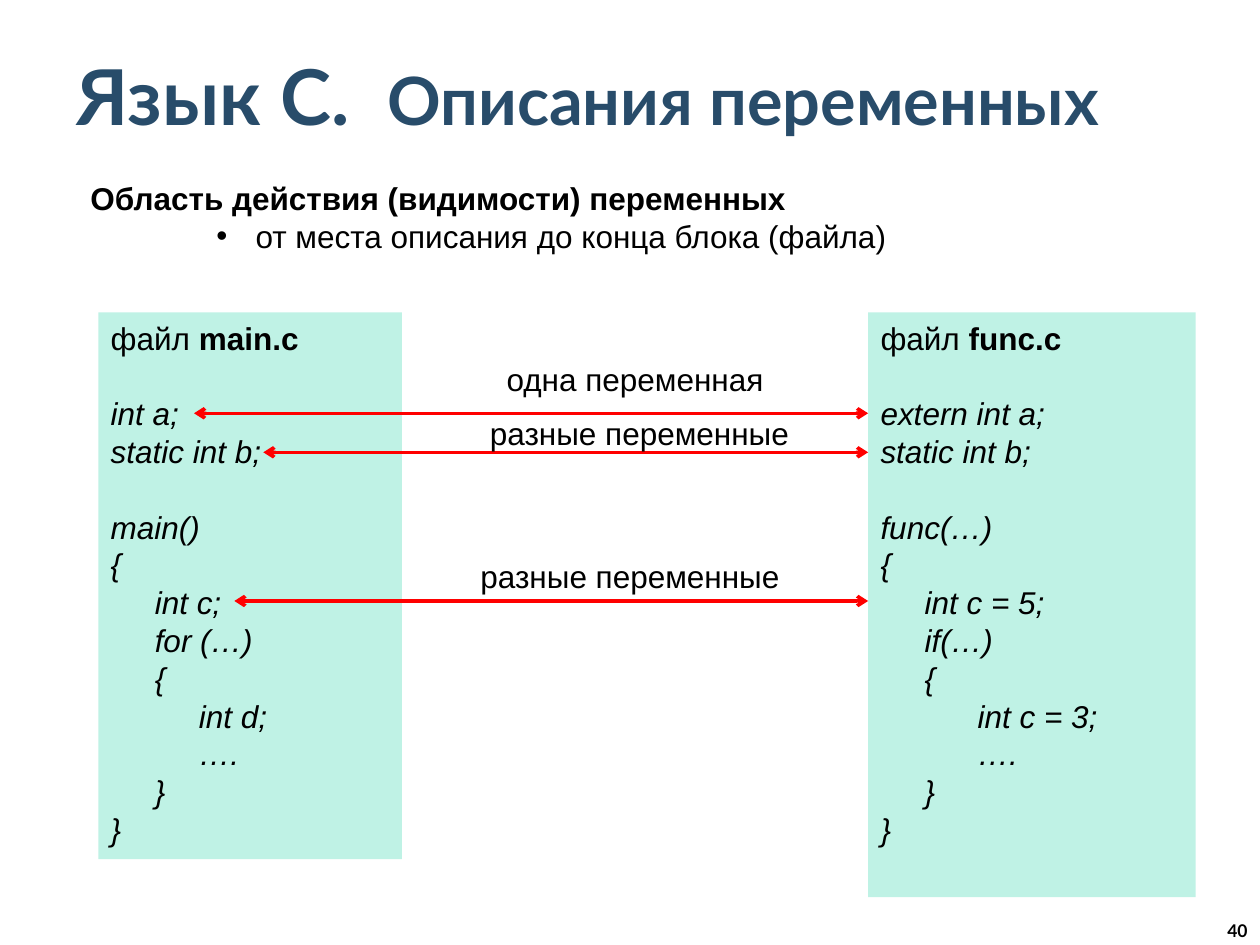
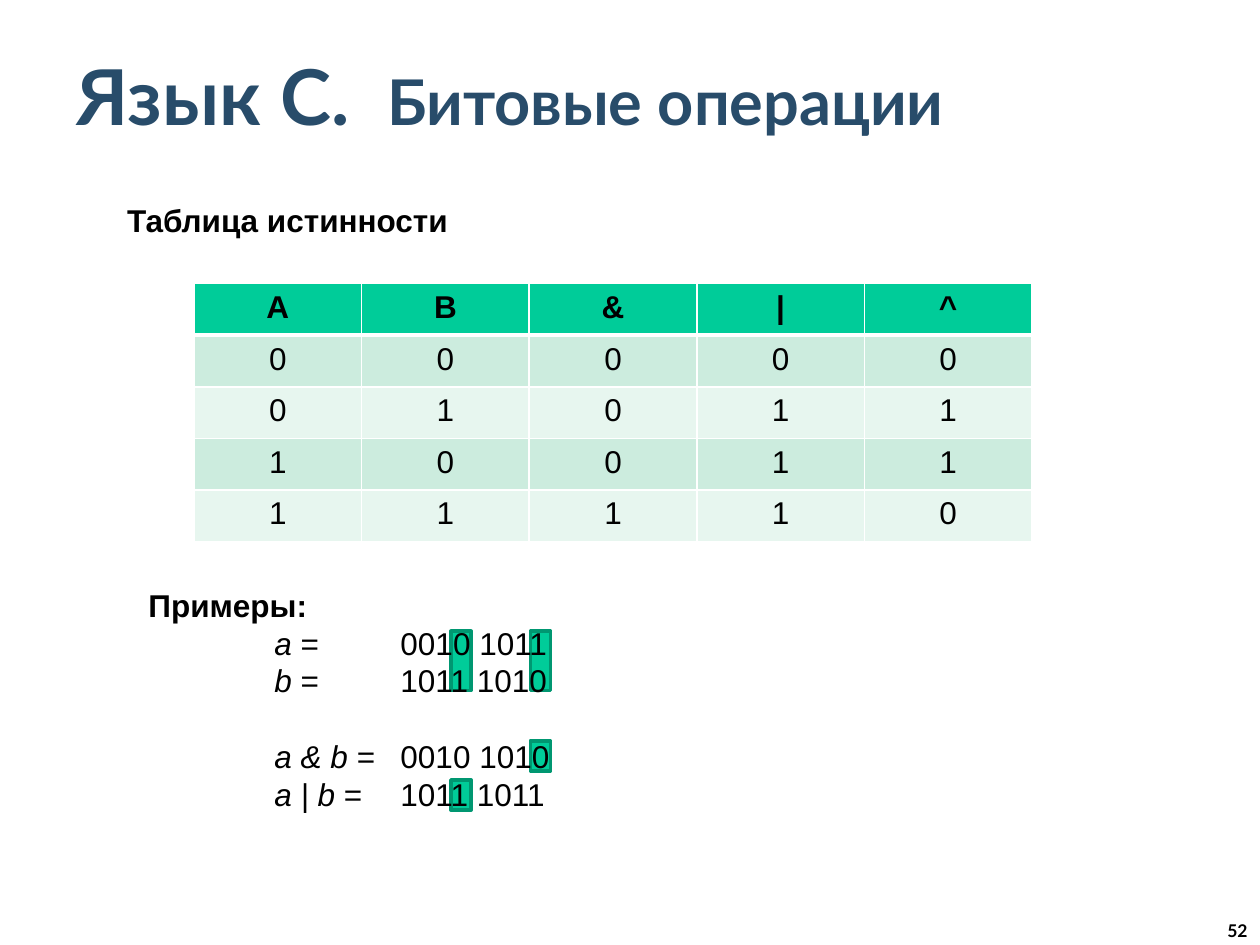
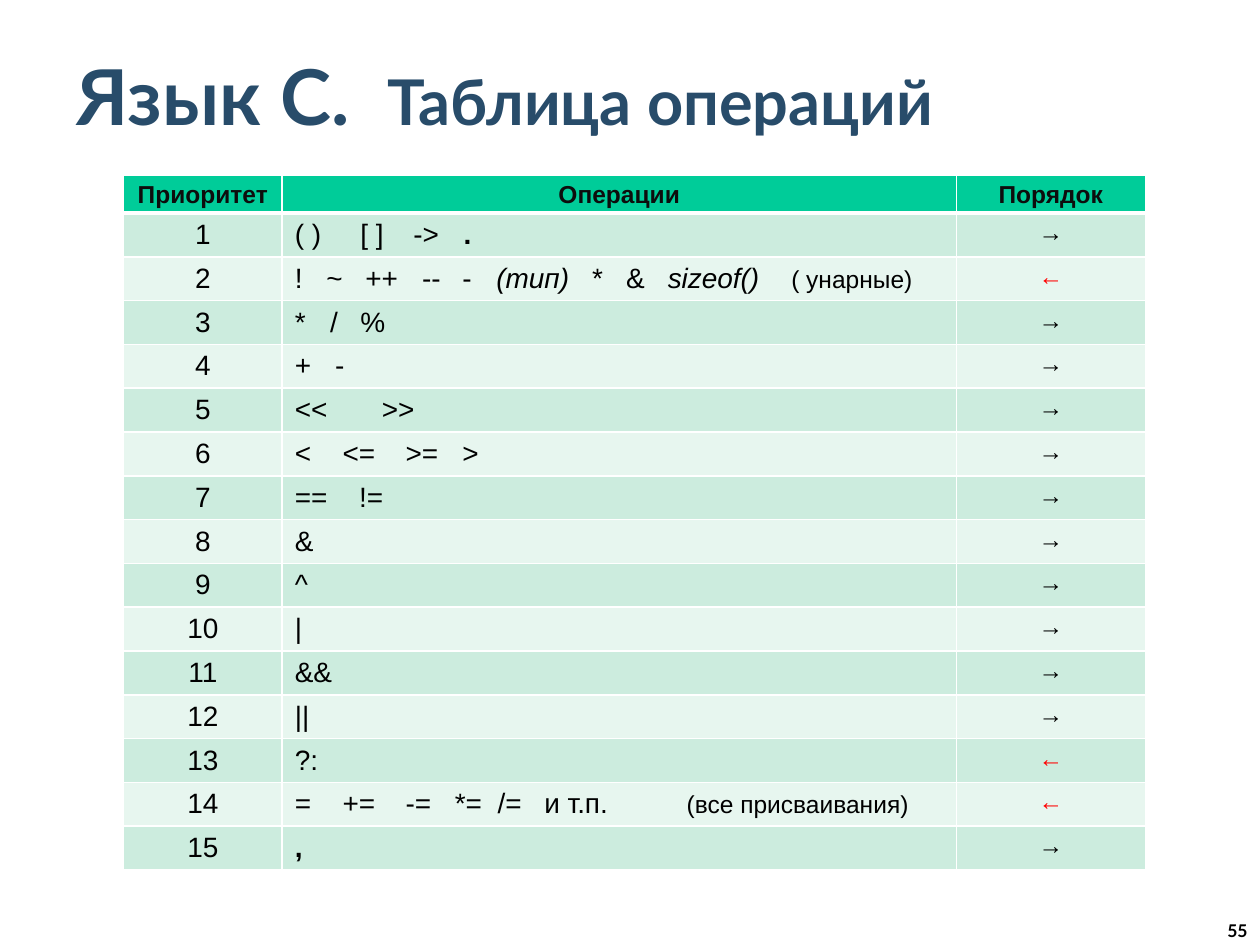
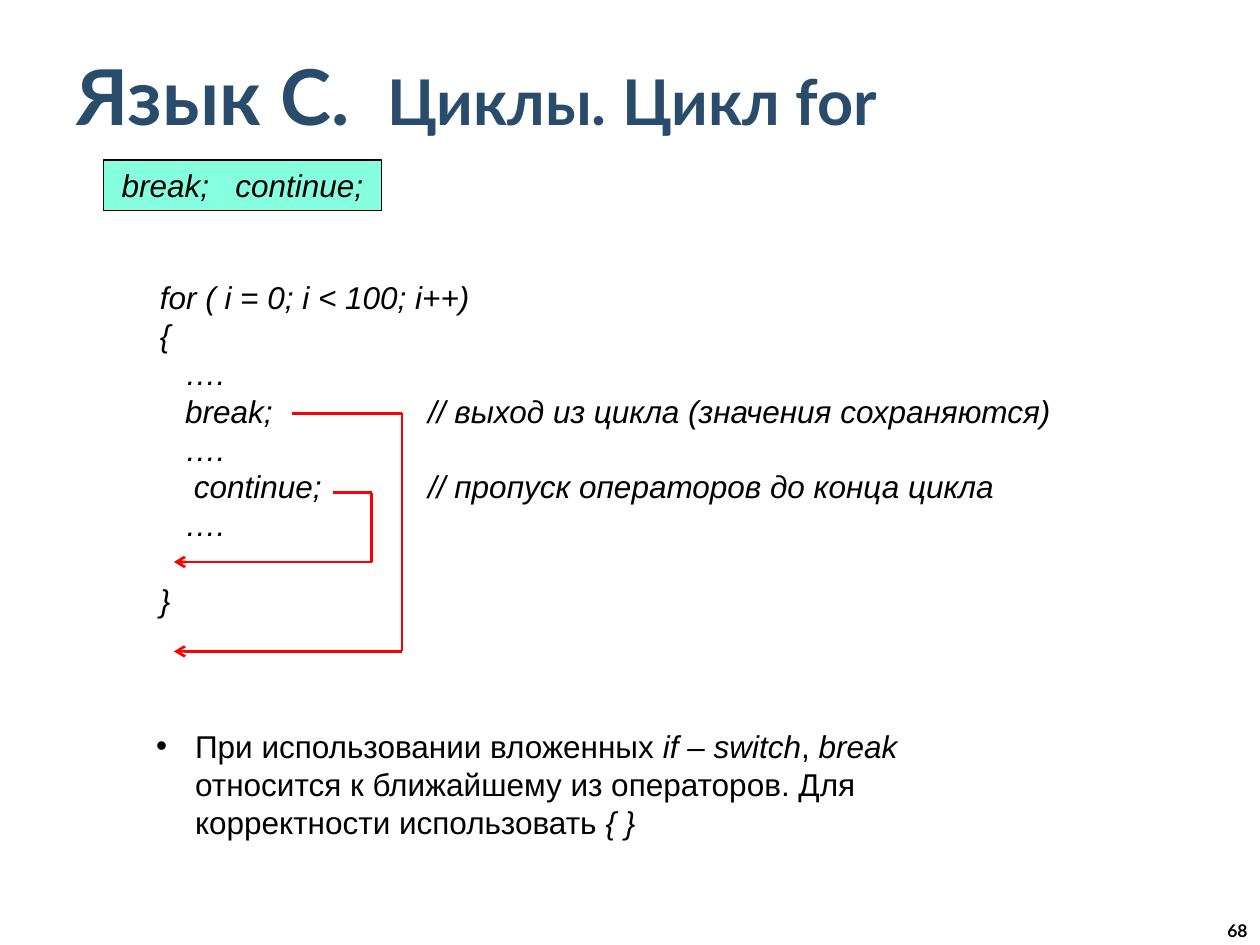
from dataclasses import dataclass, field, replace

from lxml.etree import SubElement
from pptx import Presentation
from pptx.dml.color import RGBColor
from pptx.enum.shapes import MSO_CONNECTOR as Link, MSO_SHAPE as Shape
from pptx.enum.text import MSO_ANCHOR as Anchor, PP_ALIGN as Align
from pptx.oxml.ns import qn
from pptx.util import Inches, Pt

BLACK, WHITE, RED = "000000", "FFFFFF", "FF0000"
NAVY, GREEN, DARK_GREEN, AQUA = "284C6A", "00CC99", "009771", "85FFE0"
HEADER_TEXT, BANDS = "0D0D0D", ("CCECDE", "E7F6EF")
BLANK_LINE = 21.6
STEP = 0.35
BOLD, ITALIC = {"bold": True}, {"italic": True}


@dataclass
class Line:
    """One paragraph: its text or (text, style) spans, layout and font."""
    spans: str | list
    indent: float = 0
    hanging: float = 0
    tabs: tuple = ()
    before: float = 0
    align: Align = Align.LEFT
    style: dict = field(default_factory=dict)


def hex_color(value):
    """Turn a hex string into a colour."""
    return RGBColor.from_string(value)


def set_font(font, name=None, size=None, color=None, bold=None, italic=None):
    """Set the given properties of a font."""
    if name:
        font.name = name
    if size:
        font.size = Pt(size)
    if color:
        font.color.rgb = hex_color(color)
    if bold is not None:
        font.bold = bold
    if italic is not None:
        font.italic = italic


def code(text, depth=0, before=0, step=STEP):
    """Make an italic line of code at a nesting depth."""
    return Line(text, indent=depth * step, before=before, style=ITALIC)


class Lecture:
    """Holds the deck, its style and the current page."""

    def __init__(self):
        """Start a 4:3 deck."""
        self.deck = Presentation()
        self.deck.slide_width, self.deck.slide_height = Inches(10), Inches(7.5)
        self.page = None

    def start_page(self, topic, number, topic_size=36):
        """Add a page with its title and number."""
        self.page = self.deck.slides.add_slide(self.deck.slide_layouts[6])
        heading = {"name": "Lato", "color": NAVY, "bold": True}
        title = Line([("Язык С.  ", {"size": 44}), (topic, {"size": topic_size})], style=heading)
        self.text((0.51, 0.44, 8.75, 0.62), [title], anchor=Anchor.MIDDLE)
        footer = {"name": "Lato", "size": 10, "bold": True}
        self.text((7.92, 7.25, 2.08, 0.25), [Line(str(number), align=Align.RIGHT, style=footer)])

    def fill_frame(self, frame, lines):
        """Fill a text frame with lines."""
        for index, line in enumerate(lines):
            para = frame.paragraphs[0] if index == 0 else frame.add_paragraph()
            para.alignment = line.align
            if line.before:
                para.space_before = Pt(line.before)
            layout = para._p.get_or_add_pPr()
            if line.indent:
                layout.set("marL", str(Inches(line.indent)))
                layout.set("indent", str(-Inches(line.hanging)))
            if line.hanging:
                SubElement(layout, qn("a:buFont"), typeface="Arial")
                SubElement(layout, qn("a:buChar"), char="•")
            if line.tabs:
                stops = SubElement(layout, qn("a:tabLst"))
                for stop in line.tabs:
                    SubElement(stops, qn("a:tab"), pos=str(Inches(stop)), algn="l")
            set_font(para.font, **{"name": "Arial", "size": 18, "color": BLACK, **line.style})
            spans = [(line.spans, {})] if isinstance(line.spans, str) else line.spans
            for content, style in spans:
                span = para.add_run()
                span.text = content
                set_font(span.font, **style)

    def text(self, place, lines, anchor=Anchor.TOP, top=0.05):
        """Add a wrapping text box."""
        frame = self.page.shapes.add_textbox(*map(Inches, place)).text_frame
        frame.word_wrap = True
        frame.vertical_anchor = anchor
        frame.margin_top = Inches(top)
        self.fill_frame(frame, lines)

    def panel(self, place, fill, lines=(), border=None, width=1, opacity=None):
        """Add a filled rectangle, with text if there is any."""
        box = self.page.shapes.add_shape(Shape.RECTANGLE, *map(Inches, place))
        box.shadow.inherit = False
        box.fill.solid()
        box.fill.fore_color.rgb = hex_color(fill)
        if opacity:
            color = box._element.spPr.find(qn("a:solidFill"))[0]
            SubElement(color, qn("a:alpha"), val=str(opacity * 1000))
        if border:
            box.line.color.rgb = hex_color(border)
            box.line.width = Pt(width)
        else:
            box.line.fill.background()
        box.text_frame.vertical_anchor = Anchor.TOP
        self.fill_frame(box.text_frame, lines)

    def arrow(self, start, end, width, heads=(), shapes=None):
        """Add a red line with arrowheads at the named ends."""
        shapes = shapes or self.page.shapes
        line = shapes.add_connector(Link.STRAIGHT, *map(Inches, (*start, *end)))
        line.line.color.rgb = hex_color(RED)
        line.line.width = Pt(width)
        for head in heads:
            SubElement(line.line._get_or_add_ln(), qn(f"a:{head}"), type="arrow")
        SubElement(line._element.spPr, qn("a:effectLst"))

    def jump(self, start, right, end):
        """Add a bracket of grouped lines that goes right, down and back."""
        shapes = self.page.shapes.add_group_shape().shapes
        points = [start, (right, start[1]), (right, end[1]), end]
        for heads, first, last in zip(((), (), ("tailEnd",)), points, points[1:]):
            self.arrow(first, last, 1.5, heads, shapes)

    def border(self, cell, widths):
        """Draw white cell borders: left, right, top, bottom."""
        for side, width in zip("LRTB", widths):
            edge = SubElement(cell._tc.get_or_add_tcPr(), qn(f"a:ln{side}"), w=str(Pt(width)))
            SubElement(SubElement(edge, qn("a:solidFill")), qn("a:srgbClr"), val=WHITE)

    def table(self, left, top, widths, heights, rows):
        """Add a banded table from rows of lines."""
        size = left, top, sum(widths), sum(heights)
        table = self.page.shapes.add_table(len(rows), len(widths), *map(Inches, size)).table
        table.horz_banding = False
        for column, width in zip(table.columns, widths):
            column.width = Inches(width)
        for index, (row, height, lines) in enumerate(zip(table.rows, heights, rows)):
            row.height = Inches(height)
            for cell, line in zip(row.cells, lines):
                self.border(cell, (1, 1, 3 if index == 1 else 1, 3 if index == 0 else 1))
                cell.fill.solid()
                cell.fill.fore_color.rgb = hex_color(BANDS[(index - 1) % 2] if index else GREEN)
                cell.margin_top, cell.margin_bottom = Inches(0.05), Inches(0.01)
                style = {"bold": index == 0, **line.style}
                self.fill_frame(cell.text_frame, [replace(line, style=style)])


def centered(text, **style):
    """Make a centred line."""
    return Line(text, align=Align.CENTER, style=style)


def scope_page(lecture):
    """Show the scope of variables in two files."""
    lecture.start_page("Описания переменных", 40, 38)
    lecture.text((0.62, 1.37, 7.83, 0.71), [
        Line("Область действия (видимости) переменных", style=BOLD),
        Line("от места описания до конца блока (файла)", indent=1.31, hanging=0.31)])
    files = [
        ((0.78, 2.48, 2.41, 4.34), "mаin.с", "int a;", "main()", "int c;", "for (…)", "int d;", 2),
        ((6.89, 2.48, 2.6, 4.64), "func.с", "extern int a;", "func(…)", "int c = 5;", "if(…)",
         "int c = 3;", 2.2)]
    for place, name, shared, function, local, block, inner, depth in files:
        lecture.panel(place, GREEN, [
            Line([("файл ", {}), (name, BOLD)]),
            code(shared, before=BLANK_LINE), code("static int b;"),
            code(function, before=BLANK_LINE), code("{"),
            code(local, 1), code(block, 1), code("{", 1),
            code(inner, depth), code("….", depth),
            code("}", 1), code("}")], opacity=25)
    for left, height in ((1.54, 3.28), (2.09, 3.59), (1.86, 4.77)):
        lecture.arrow((left, height), (6.89, height), 2, ("headEnd", "tailEnd"))
    for place, label in (((3.74, 2.81, 2.6, 0.4), "одна переменная"),
                         ((3.5, 3.24, 3.15, 0.4), "разные переменные"),
                         ((3.27, 4.37, 3.46, 0.4), "разные переменные")):
        lecture.text(place, [centered(label)])


def bits_page(lecture):
    """Show the truth table and bitwise examples."""
    lecture.start_page("Битовые операции", 52)
    lecture.text((0.91, 1.55, 8.31, 0.4), [Line("Таблица истинности", style=BOLD)])
    pairs = [(a, b) for a in (0, 1) for b in (0, 1)]
    rows = [[centered(name) for name in "AB&|^"]]
    rows += [[centered(str(bit)) for bit in (a, b, a & b, a | b, a ^ b)] for a, b in pairs]
    lecture.table(1.54, 2.25, [1.33] * 5, [0.41] * 5, rows)
    for left, top, height in ((3.58, 6.19, 0.24), (3.58, 5.01, 0.47),
                              (4.21, 5.01, 0.47), (4.21, 5.88, 0.24)):
        lecture.panel((left, top, 0.16, height), GREEN, border=DARK_GREEN, width=2)
    examples = [("a", "0010 1011", 0), ("b", "1011 1010", 0),
                ("a & b", "0010 1010", BLANK_LINE), ("a | b", "1011 1011", 0)]
    lecture.text((1.08, 4.6, 7.32, 1.92), [Line("Примеры:", style=BOLD)] + [
        Line([("\t" + name, ITALIC), (" =\t" + bits, {})], tabs=(1, 2), before=before)
        for name, bits, before in examples])


def operations_page(lecture):
    """Show the operations by priority."""
    lecture.start_page("Таблица операций", 55)
    small = {"size": 14}
    operations = [
        ([("( )\t[ ]\t->\t", {}), (".", BOLD)], (0.52, 0.94, 1.34)),
        ([("!\t~\t++\t--\t-\t", {}), ("(тип)", ITALIC), ("\t*\t&\t", {}), ("sizeof()", ITALIC),
          ("\t", {}), ("( унарные)", small)],
         (0.25, 0.56, 1.01, 1.33, 1.6, 2.36, 2.63, 2.96, 3.94)),
        ("*\t/\t%", (0.28, 0.52)),
        ("+\t-", (0.32,)),
        ("<<\t>>", (0.69,)),
        ("<\t<=\t>=\t>", (0.38, 0.88, 1.33)),
        ("==\t!=", (0.51,)),
        ("&", ()), ("^", ()), ("|", ()), ("&&", ()), ("||", ()), ("?:", ()),
        ([("=\t+=\t-=\t*=\t/=\tи т.п.\t", {}), ("(все присваивания)", small)],
         (0.38, 0.88, 1.27, 1.61, 1.98, 3.11)),
        ([(",", BOLD)], ())]
    leftward = (2, 13, 14)
    rows = [[centered(name, size=14, color=HEADER_TEXT, bold=True)
             for name in ("Приоритет", "Операции", "Порядок")]]
    for priority, (spans, tabs) in enumerate(operations, 1):
        order = ("←", RED) if priority in leftward else ("→", BLACK)
        rows.append([centered(str(priority), size=16),
                     Line(spans, tabs=tabs, style={"size": 16}),
                     centered(order[0], size=14, color=order[1])])
    header, total = 0.3, 5.52
    count = len(operations)
    heights = [header] + [(total - header) / count] * count
    lecture.table(0.98, 1.39, [1.26, 5.35, 1.5], heights, rows)


def loop_page(lecture):
    """Show break and continue in a loop."""
    lecture.start_page("Циклы. Цикл for", 68)
    body, inner, comment = 0.35, 0.55, 2.48
    listing = [("for ( i = 0; i < 100; i++)", body), ("{", body), ("….", inner),
               ("break;\t// выход из цикла (значения сохраняются)", inner), ("….", inner),
               ("continue;\t// пропуск операторов до конца цикла", 0.62), ("….", inner)]
    lines = [Line("\t" + text, tabs=(start, comment), style=ITALIC) for text, start in listing]
    lines.append(Line("\t}", tabs=(body,), before=BLANK_LINE, style=ITALIC))
    lecture.text((0.82, 1.86, 8.12, 3.43), lines, top=0.35)
    lecture.panel((0.82, 1.27, 2.21, 0.4), AQUA,
                  [centered("break;   continue;", italic=True)], border=BLACK, width=0.75)
    lecture.jump((2.64, 3.91), 2.95, (1.38, 4.46))
    lecture.jump((2.32, 3.28), 3.19, (1.38, 5.17))
    lecture.text((1.14, 5.72, 7.01, 1.01), [Line([
        ("При использовании вложенных ", {}), ("if – switch", ITALIC), (", ", {}),
        ("break ", ITALIC),
        ("относится к ближайшему из операторов. Для корректности использовать ", {}),
        ("{ }", ITALIC)], indent=0.31, hanging=0.31)])


def main():
    """Build and save the deck."""
    lecture = Lecture()
    for build in (scope_page, bits_page, operations_page, loop_page):
        build(lecture)
    lecture.deck.save("out.pptx")


if __name__ == "__main__":
    main()
